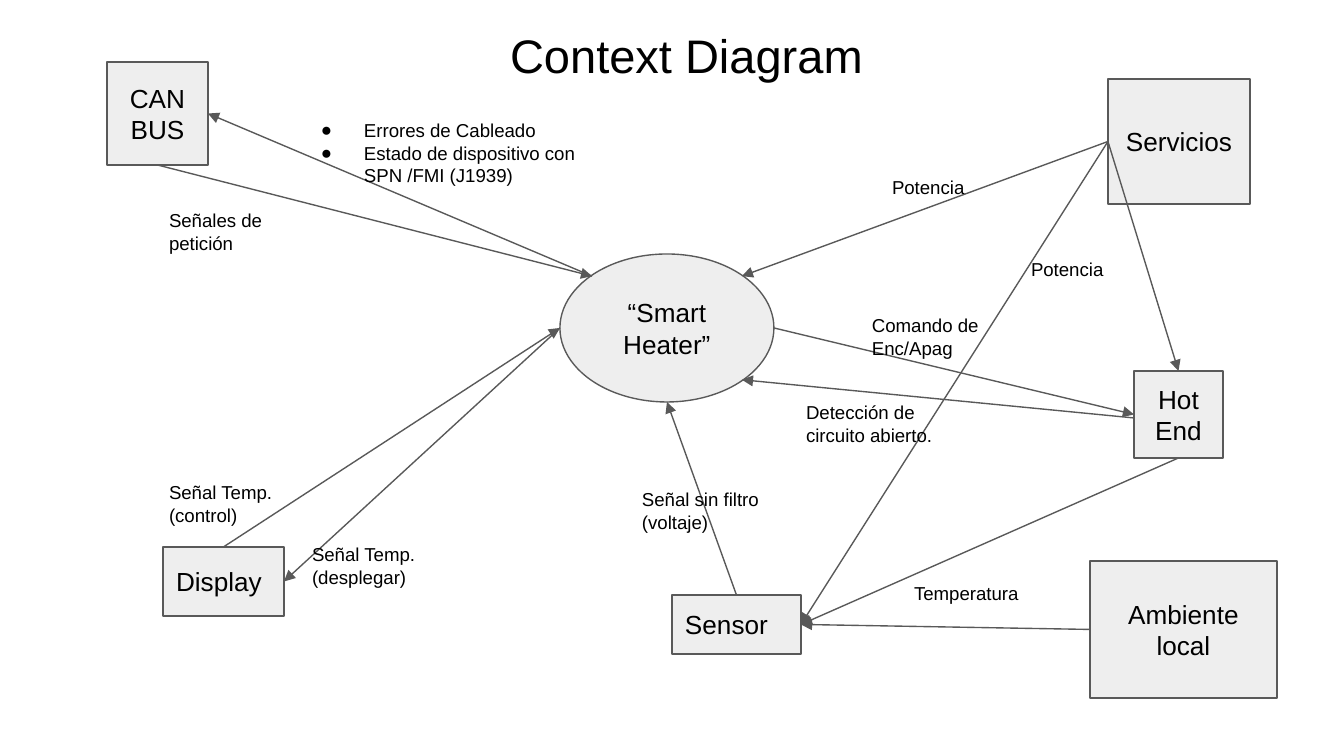
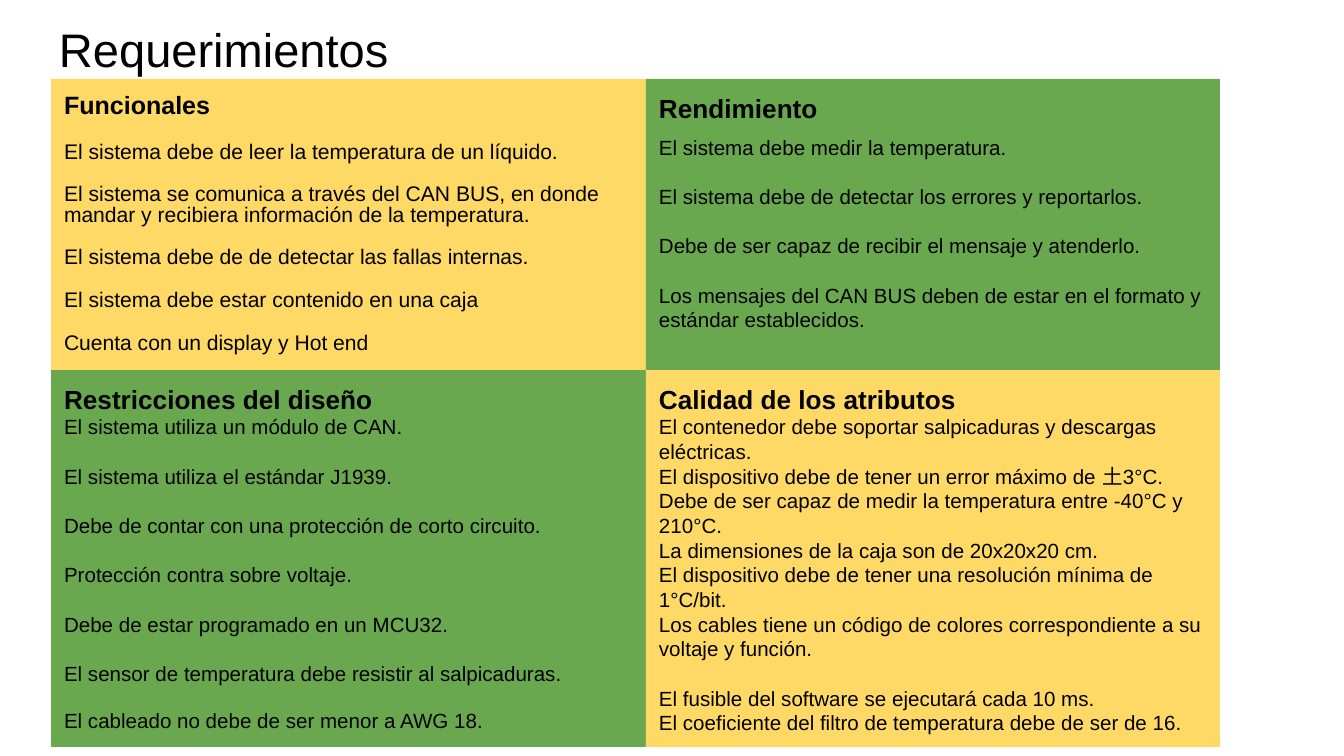
from lxml import etree
from pptx import Presentation
from pptx.dml.color import RGBColor
from pptx.enum.shapes import MSO_CONNECTOR, MSO_SHAPE
from pptx.enum.text import MSO_ANCHOR, MSO_AUTO_SIZE, PP_ALIGN
from pptx.oxml.ns import qn
from pptx.util import Emu, Pt

RECTANGLE, OVAL = MSO_SHAPE.RECTANGLE, MSO_SHAPE.OVAL
STRAIGHT = MSO_CONNECTOR.STRAIGHT
TOP, MIDDLE = MSO_ANCHOR.TOP, MSO_ANCHOR.MIDDLE
LEFT, CENTER = PP_ALIGN.LEFT, PP_ALIGN.CENTER
FIXED, GROW = MSO_AUTO_SIZE.NONE, MSO_AUTO_SIZE.SHAPE_TO_FIT_TEXT
PIXEL = 914400 / 134.4


class Theme:
    font = "Arial"
    text = RGBColor.from_string("000000")
    node = RGBColor.from_string("EEEEEE")
    line = RGBColor.from_string("595959")
    yellow = RGBColor.from_string("FFD966")
    green = RGBColor.from_string("6AA84F")
    title_size = 25.2
    node_size = 14
    label_size = 10
    heading_size = 14
    item_size = 11
    body_heading_size = 13.4
    body_item_size = 11.3
    line_width = Pt(0.75)
    padding = 13


def pixels(*lengths):
    return [Emu(round(length * PIXEL)) for length in lengths]


def write(shape, lines, anchor=TOP, align=LEFT, auto_size=FIXED):
    frame = shape.text_frame
    frame.word_wrap = True
    frame.auto_size = auto_size
    frame.vertical_anchor = anchor
    padding, = pixels(Theme.padding)
    frame.margin_left = frame.margin_right = padding
    frame.margin_top = frame.margin_bottom = padding
    for index, (text, size, bold, before, spacing) in enumerate(lines):
        paragraph = frame.paragraphs[0] if index == 0 else frame.add_paragraph()
        paragraph.alignment = align
        paragraph.space_before = Pt(before)
        paragraph.line_spacing = spacing
        run = paragraph.add_run()
        run.text = text
        run.font.name = Theme.font
        run.font.size = Pt(size)
        run.font.bold = bold
        run.font.color.rgb = Theme.text


presentation = Presentation()
presentation.slide_width, presentation.slide_height = pixels(1344, 756)
content_layout, title_layout = presentation.slide_layouts[1], presentation.slide_layouts[5]
diagram = presentation.slides.add_slide(title_layout)
requirements = presentation.slides.add_slide(content_layout)

titles = [
    (diagram, "Context Diagram", (497, 13, 383, 85)),
    (requirements, "Requerimientos", (46, 7, 1252, 72)),
]
for slide, text, box in titles:
    title = slide.shapes.title
    title.left, title.top, title.width, title.height = pixels(*box)
    write(title, [(text, Theme.title_size, False, 0, 1.0)])

nodes = {
    "heater": (OVAL, (560, 254, 214, 148), CENTER, ["“Smart Heater”"]),
    "ambient": (RECTANGLE, (1090, 561, 187, 137), CENTER, ["Ambiente local"]),
    "services": (RECTANGLE, (1108, 79, 142, 125), CENTER, ["Servicios"]),
    "bus": (RECTANGLE, (107, 62, 101, 103), CENTER, ["CAN", "BUS"]),
    "hot end": (RECTANGLE, (1134, 371, 89, 87), CENTER, ["Hot End"]),
    "sensor": (RECTANGLE, (672, 595, 129, 59), LEFT, ["Sensor"]),
    "display": (RECTANGLE, (163, 547, 121, 69), LEFT, ["Display"]),
}
for kind, box, align, texts in nodes.values():
    shape = diagram.shapes.add_shape(kind, *pixels(*box))
    shape.shadow.inherit = False
    shape.fill.solid()
    shape.fill.fore_color.rgb = Theme.node
    shape.line.color.rgb = Theme.line
    shape.line.width = Theme.line_width
    lines = [(text, Theme.node_size, False, 0, 1.0) for text in texts]
    write(shape, lines, MIDDLE, align)

sites = {
    "top": (0.5, 0),
    "left": (0, 0.5),
    "bottom": (0.5, 1),
    "right": (1, 0.5),
    "lower left": (0, 0.54),
    "oval top left": (0.15, 0.15),
    "oval top right": (0.85, 0.15),
    "oval bottom right": (0.85, 0.85),
}
arrows = [
    ("services", "left", "heater", "oval top right"),
    ("ambient", "left", "sensor", "right"),
    ("heater", "oval top left", "bus", "right"),
    ("services", "left", "hot end", "top"),
    ("sensor", "top", "heater", "bottom"),
    ("heater", "right", "hot end", "left"),
    ("display", "top", "heater", "left"),
    ("heater", "left", "display", "right"),
    ("bus", "bottom", "heater", "oval top left"),
    ("hot end", "bottom", "sensor", "right"),
    ("hot end", "lower left", "heater", "oval bottom right"),
    ("services", "left", "sensor", "right"),
]
for source, source_site, target, target_site in arrows:
    points = []
    for name, site in ((source, source_site), (target, target_site)):
        left, top, width, height = nodes[name][1]
        across, down = sites[site]
        points += [left + across * width, top + down * height]
    connector = diagram.shapes.add_connector(STRAIGHT, *pixels(*points))
    connector.line.color.rgb = Theme.line
    connector.line.width = Theme.line_width
    properties = connector.element.spPr
    etree.SubElement(properties.find(qn("a:ln")), qn("a:tailEnd"), type="triangle")
    etree.SubElement(properties, qn("a:effectLst"))

labels = [
    ((879, 165, 148, 50), ["Potencia"]),
    ((901, 571, 177, 50), ["Temperatura"]),
    ((1018, 247, 148, 50), ["Potencia"]),
    ((629, 475, 159, 73), ["Señal sin filtro", "(voltaje)"]),
    ((859, 301, 187, 73), ["Comando de Enc/Apag"]),
    ((299, 530, 148, 73), ["Señal Temp. (desplegar)"]),
    ((156, 468, 148, 73), ["Señal Temp. (control)"]),
    ((156, 196, 177, 73), ["Señales de petición"]),
    ((793, 388, 177, 73), ["Detección de circuito abierto."]),
    ((284, 106, 308, 95), [
        "Errores de Cableado",
        "Estado de dispositivo con SPN /FMI (J1939)",
    ]),
]
for box, texts in labels:
    label = diagram.shapes.add_textbox(*pixels(*box))
    lines = [(text, Theme.label_size, False, 0, 1.0) for text in texts]
    write(label, lines, auto_size=GROW)

indent, hanging = pixels(67, -43)
for paragraph in label.text_frame.paragraphs:
    properties = paragraph._p.get_or_add_pPr()
    properties.set("marL", str(indent))
    properties.set("indent", str(hanging))
    color = etree.SubElement(properties, qn("a:buClr"))
    etree.SubElement(color, qn("a:srgbClr"), val=str(Theme.text))
    etree.SubElement(properties, qn("a:buFont"), typeface=Theme.font)
    etree.SubElement(properties, qn("a:buChar"), char="●")

columns = [(51, 595), (646, 574)]
rows = [(79, 291), (370, 377)]
blank_line = 13.2
quadrants = [
    (0, 0, "Funcionales", [
        (12, "El sistema debe de leer la temperatura de un líquido."),
        (12, "El sistema se comunica a través del CAN BUS, en donde mandar y recibiera "
             "información de la temperatura."),
        (12, "El sistema debe de de detectar las fallas internas."),
        (12, "El sistema debe estar contenido en una caja"),
        (12, "Cuenta con un display y Hot end"),
    ]),
    (1, 0, "Rendimiento", [
        (6, "El sistema debe medir la temperatura."),
        (blank_line, "El sistema debe de detectar los errores y reportarlos."),
        (blank_line, "Debe de ser capaz de recibir el mensaje y atenderlo."),
        (blank_line, "Los mensajes del CAN BUS deben de estar en el formato y estándar "
                     "establecidos."),
    ]),
    (0, 1, "Restricciones del diseño", [
        (0, "El sistema utiliza un módulo de CAN."),
        (blank_line, "El sistema utiliza el estándar J1939."),
        (blank_line, "Debe de contar con una protección de corto circuito."),
        (blank_line, "Protección contra sobre voltaje."),
        (blank_line, "Debe de estar programado en un MCU32."),
        (blank_line, "El sensor de temperatura debe resistir al salpicaduras."),
        (12, "El cableado no debe de ser menor a AWG 18."),
    ]),
    (1, 1, "Calidad de los atributos", [
        (0, "El contenedor debe soportar salpicaduras y descargas eléctricas."),
        (0, "El dispositivo debe de tener un error máximo de 土3°C."),
        (0, "Debe de ser capaz de medir la temperatura entre -40°C y 210°C."),
        (0, "La dimensiones de la caja son de 20x20x20 cm."),
        (0, "El dispositivo debe de tener una resolución mínima de 1°C/bit."),
        (0, "Los cables tiene un código de colores correspondiente a su voltaje y función."),
        (blank_line, "El fusible del software se ejecutará cada 10 ms."),
        (0, "El coeficiente del filtro de temperatura debe de ser de 16."),
    ]),
]
body = requirements.placeholders[1]
for column, row, heading, items in quadrants:
    left, width = columns[column]
    top, height = rows[row]
    box = pixels(left, top, width, height)
    if column == row == 0:
        panel = body
        panel.left, panel.top, panel.width, panel.height = box
        lines = [(heading, Theme.body_heading_size, True, 0, 0.95)]
        lines += [(text, Theme.body_item_size, False, gap, 0.8) for gap, text in items]
    else:
        panel = requirements.shapes.add_shape(RECTANGLE, *box)
        panel.shadow.inherit = False
        lines = [(heading, Theme.heading_size, True, 0, 1.0)]
        lines += [(text, Theme.item_size, False, gap, 1.0) for gap, text in items]
    panel.fill.solid()
    panel.fill.fore_color.rgb = Theme.green if (column + row) % 2 else Theme.yellow
    panel.line.fill.background()
    write(panel, lines)

for paragraph in body.text_frame.paragraphs:
    properties = paragraph._p.get_or_add_pPr()
    properties.set("marL", "0")
    properties.set("indent", "0")
    etree.SubElement(properties, qn("a:buNone"))

presentation.save("out.pptx")
